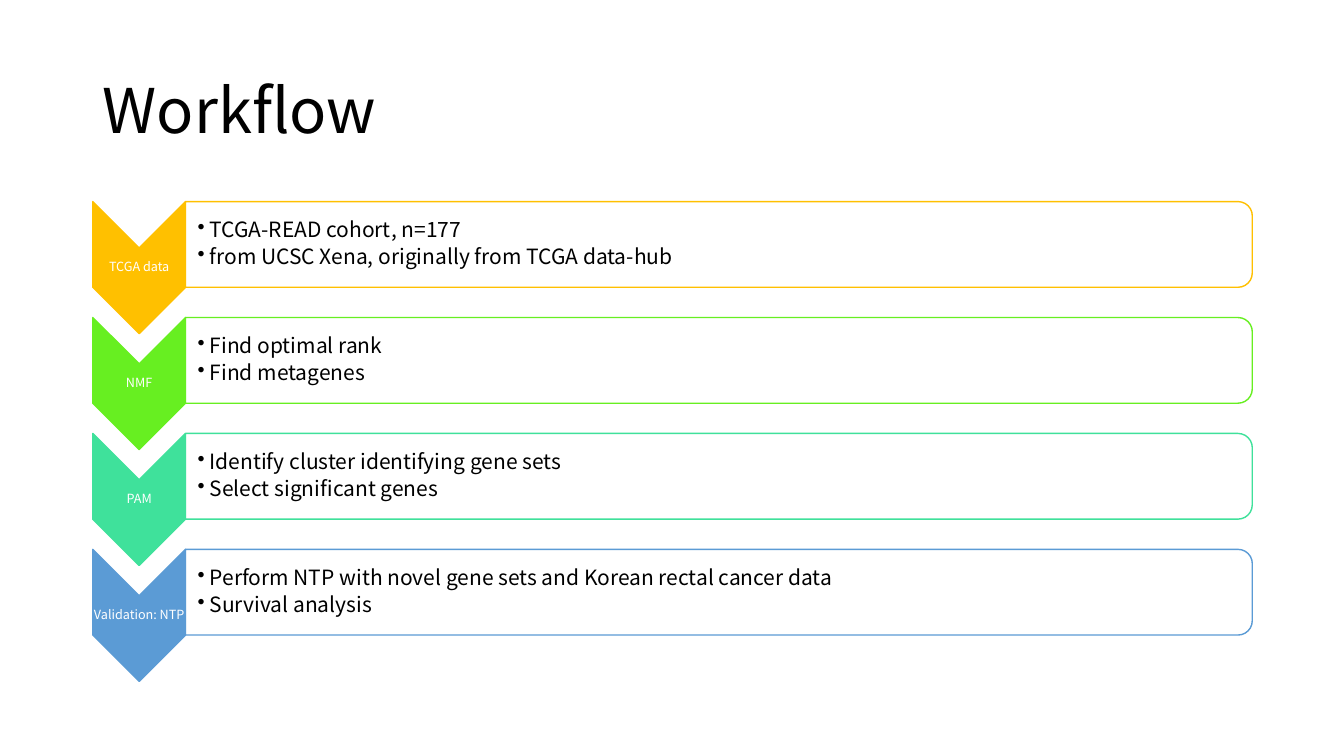
from lxml.etree import SubElement
from pptx import Presentation
from pptx.dml.color import RGBColor
from pptx.enum.shapes import MSO_SHAPE
from pptx.enum.text import MSO_ANCHOR, MSO_AUTO_SIZE, PP_ALIGN
from pptx.oxml.ns import qn
from pptx.util import Pt

PX = 9144  # 100 px to the inch
FONT = "Noto Sans CJK KR"
STEPS = [
    ("TCGA data", "FFC000", ["TCGA-READ cohort, n=177",
                             "from UCSC Xena, originally from TCGA data-hub"]),
    ("NMF", "67EF21", ["Find optimal rank", "Find metagenes"]),
    ("PAM", "3FE19B", ["Identify cluster identifying gene sets",
                       "Select significant genes"]),
    ("Validation: NTP", "5B9BD5",
     ["Perform NTP with novel gene sets and Korean rectal cancer data",
      "Survival analysis"]),
]
STEP_PITCH = 115
CHEVRON_W, CHEVRON_H = 92, 131
PANEL_H = 85


def px(n):
    return round(n * PX)


def color(hex_string):
    return RGBColor.from_string(hex_string)


def add_run(p, text, size, hex_string):
    p.line_spacing = 0.9
    r = p.add_run()
    r.text = text
    r.font.name = FONT
    r.font.size = Pt(size)
    r.font.color.rgb = color(hex_string)


def add_turned_shape(slide, kind, x, y, w, h, fill, line):
    """Add a shape turned by 90 degrees that fills the given box as seen."""
    sp = slide.shapes.add_shape(kind, px(x + (w - h) / 2), px(y + (h - w) / 2),
                                px(h), px(w))
    sp.rotation = 90
    sp.shadow.inherit = False
    sp.fill.solid()
    sp.fill.fore_color.rgb = color(fill)
    sp.line.color.rgb = color(line)
    sp.line.width = Pt(1)
    return sp


def add_text_frame(slide, x, y, w, h, left_inset=1, wrap=True):
    tf = slide.shapes.add_textbox(px(x), px(y), px(w), px(h)).text_frame
    tf.word_wrap = wrap
    tf.auto_size = MSO_AUTO_SIZE.NONE
    tf.vertical_anchor = MSO_ANCHOR.MIDDLE
    tf.margin_left = px(left_inset)
    tf.margin_top = tf.margin_right = tf.margin_bottom = px(1)
    return tf


def add_bullet(p):
    pPr = p._p.get_or_add_pPr()
    pPr.set("marL", str(px(12)))
    pPr.set("indent", str(px(-12)))
    SubElement(pPr, qn("a:buChar")).set("char", "•")


def add_title(slide, x, y, w, h, text):
    sp = slide.shapes.title
    sp.left, sp.top, sp.width, sp.height = px(x), px(y), px(w), px(h)
    tf = sp.text_frame
    tf.auto_size = MSO_AUTO_SIZE.NONE
    tf.vertical_anchor = MSO_ANCHOR.MIDDLE
    p = tf.paragraphs[0]
    p.alignment = PP_ALIGN.LEFT
    add_run(p, text, 44, "000000")


def add_chevron(slide, x, y, label, accent):
    add_turned_shape(slide, MSO_SHAPE.CHEVRON, x, y, CHEVRON_W, CHEVRON_H,
                     accent, accent)
    notch = CHEVRON_W // 2
    tf = add_text_frame(slide, x, y + notch, CHEVRON_W, CHEVRON_H - 2 * notch,
                        wrap=False)
    p = tf.paragraphs[0]
    p.alignment = PP_ALIGN.CENTER
    add_run(p, label, 9, "FFFFFF")


def add_panel(slide, x, y, w, items, accent):
    sp = add_turned_shape(slide, MSO_SHAPE.ROUND_2_SAME_RECTANGLE, x, y, w,
                          PANEL_H, "FFFFFF", accent)
    white = sp._element.spPr.find(qn("a:solidFill"))[0]
    SubElement(white, qn("a:alpha")).set("val", "90000")
    tf = add_text_frame(slide, x, y + 4, w - 4, PANEL_H - 8, left_inset=12)
    for i, item in enumerate(items):
        p = tf.add_paragraph() if i else tf.paragraphs[0]
        p.alignment = PP_ALIGN.LEFT
        add_run(p, item, 15, "000000")
        p.space_after = Pt(2.7)
        add_bullet(p)


def add_workflow(slide, x, y, w):
    for i, (label, accent, items) in enumerate(STEPS):
        top = y + i * STEP_PITCH
        add_chevron(slide, x, top, label, accent)
        add_panel(slide, x + CHEVRON_W, top, w - CHEVRON_W, items, accent)


def main():
    prs = Presentation()
    prs.slide_width, prs.slide_height = px(1333), px(750)
    slide = prs.slides.add_slide(prs.slide_layouts[5])
    add_title(slide, 92, 40, 1150, 145, "Workflow")
    add_workflow(slide, 92, 200, 1150)
    prs.save("out.pptx")


if __name__ == "__main__":
    main()
